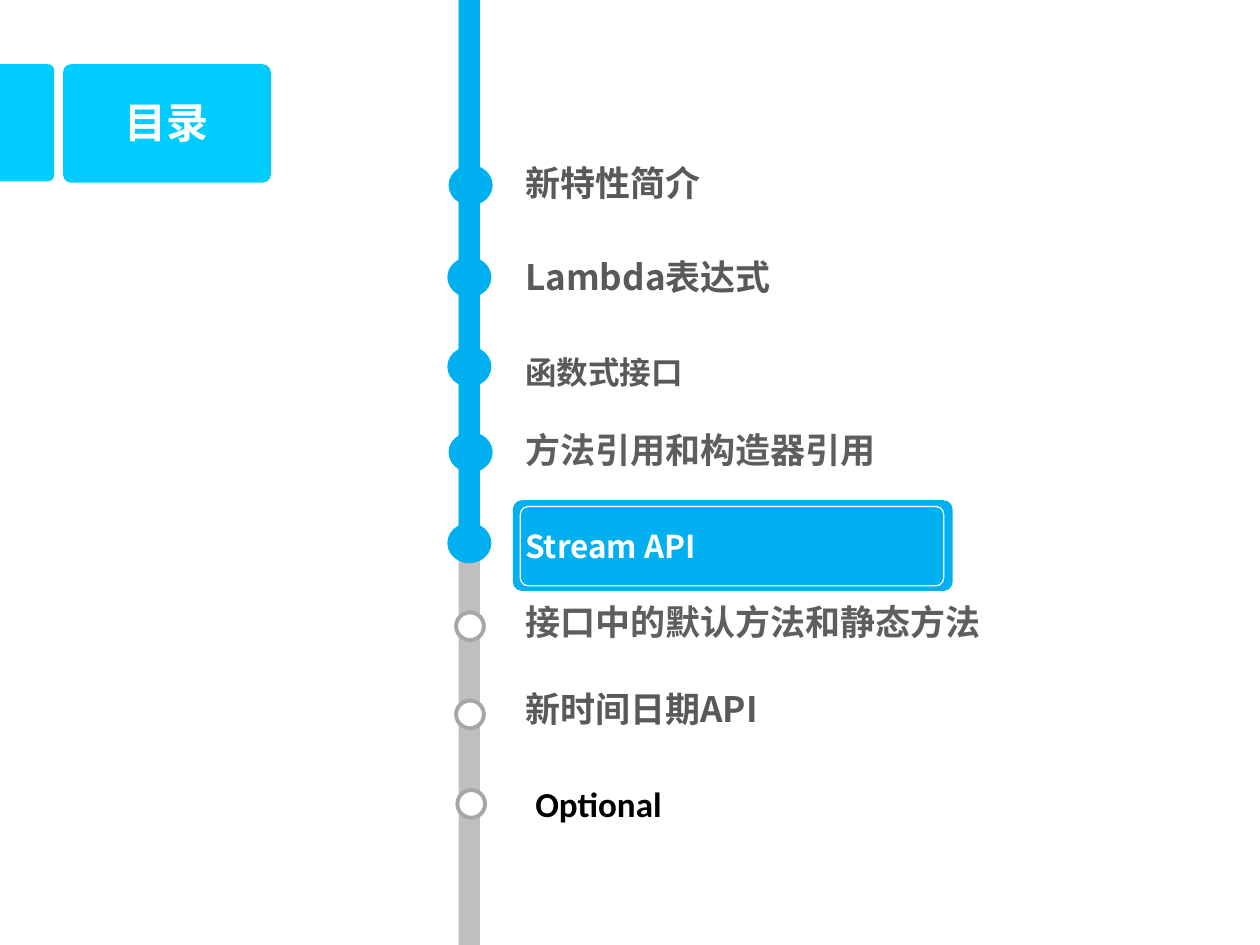
import math
from pptx import Presentation
from pptx import util as u
from pptx.dml.color import RGBColor
from pptx.enum import shapes, text
from pptx.oxml.ns import qn
from lxml import etree

CYAN = RGBColor(0x00, 0xCC, 0xFF)
BLUE = RGBColor(0x00, 0xB0, 0xF0)
WHITE = RGBColor(0xFF, 0xFF, 0xFF)
BLACK = RGBColor(0x00, 0x00, 0x00)
SILVER = RGBColor(0xBF, 0xBF, 0xBF)
RING = RGBColor(0xA6, 0xA6, 0xA6)
GRAY = RGBColor(0x59, 0x59, 0x59)
WARM_GRAY = RGBColor(0x5F, 0x5E, 0x5C)
JP = "Noto Sans CJK JP"
SC = "Noto Sans CJK SC"
KIND = shapes.MSO_SHAPE

deck = Presentation()
deck.slide_width = u.Inches(10)
deck.slide_height = u.Inches(7.5)
page = deck.slides.add_slide(deck.slide_layouts[6])


def add_shape(kind, place, fill=None, line=None, weight=0, corner=None):
    shape = page.shapes.add_shape(kind, *[u.Inches(value) for value in place])
    shape.shadow.inherit = False
    if corner is not None:
        shape.adjustments[0] = corner
    if fill is None:
        shape.fill.background()
    else:
        shape.fill.solid()
        shape.fill.fore_color.rgb = fill
    if line is None:
        shape.line.fill.background()
    else:
        shape.line.color.rgb = line
        shape.line.width = u.Pt(weight)


def add_label(words, place, size, font, color, wrap=True, align=text.PP_ALIGN.LEFT):
    box = page.shapes.add_textbox(*[u.Inches(value) for value in place])
    box.text_frame.word_wrap = wrap
    box.text_frame.auto_size = text.MSO_AUTO_SIZE.SHAPE_TO_FIT_TEXT
    para = box.text_frame.paragraphs[0]
    para.alignment = align
    span = para.add_run()
    span.text = words
    span.font.size = u.Pt(size)
    span.font.bold = True
    span.font.name = font
    span.font.color.rgb = color
    east_asian = SC if font == "Calibri" else font
    etree.SubElement(span.font._element, qn("a:ea"), typeface=east_asian)


tab_right, tab_top, tab_bottom, radius = 0.43, 0.51, 1.44, 0.05
outline = [(0, tab_top)]
for center_y, start in ((tab_top + radius, -90), (tab_bottom - radius, 0)):
    for step in range(7):
        angle = math.radians(start + step * 15)
        outline.append((tab_right - radius + radius * math.cos(angle),
                        center_y + radius * math.sin(angle)))
outline.append((0, tab_bottom))
points = [(u.Inches(x), u.Inches(y)) for x, y in outline]
builder = page.shapes.build_freeform(*points[0])
builder.add_line_segments(points[1:], close=True)
tab = builder.convert_to_shape()
tab.shadow.inherit = False
tab.fill.solid()
tab.fill.fore_color.rgb = CYAN
tab.line.fill.background()

add_shape(KIND.ROUNDED_RECTANGLE, (0.5, 0.51, 1.65, 0.94), CYAN, corner=0.07)
add_label("目录", (0.5, 0.72, 1.65, 0.5), 24, "Calibri", WHITE, align=text.PP_ALIGN.CENTER)

add_shape(KIND.RECTANGLE, (3.64, 0, 0.17, 7.5), SILVER)
add_shape(KIND.RECTANGLE, (3.64, 0, 0.17, 4.26), BLUE)

for left, top in ((3.56, 1.31), (3.55, 2.04), (3.55, 2.75), (3.56, 3.43), (3.55, 4.15)):
    add_shape(KIND.OVAL, (left, top, 0.35, 0.32), BLUE)
for left, top in ((3.62, 4.86), (3.62, 5.56), (3.63, 6.27)):
    add_shape(KIND.OVAL, (left, top, 0.22, 0.22), WHITE, RING, 2.25)

add_shape(KIND.ROUNDED_RECTANGLE, (4.07, 3.97, 3.49, 0.72), BLUE, corner=0.1)
add_shape(KIND.ROUNDED_RECTANGLE, (4.13, 4.02, 3.36, 0.63), None, WHITE, 0.75, 0.1)

topics = [
    ("新特性简介", (4.07, 1.23, 3.1, 0.44), 20, JP, GRAY, True),
    ("Lambda表达式", (4.07, 1.98, 3.1, 0.44), 20, JP, GRAY, True),
    ("函数式接口", (4.07, 2.75, 1.46, 0.4), 18, JP, GRAY, False),
    ("方法引用和构造器引用", (4.07, 3.35, 3.21, 0.44), 20, SC, WARM_GRAY, True),
    ("Stream API", (4.07, 4.13, 1.61, 0.4), 18, SC, WHITE, False),
    ("接口中的默认方法和静态方法", (4.07, 4.72, 3.96, 0.44), 20, SC, WARM_GRAY, True),
    ("新时间日期API", (4.07, 5.41, 3.1, 0.44), 20, JP, GRAY, True),
    ("Optional", (4.15, 6.16, 2.6, 0.44), 20, "Calibri", BLACK, True),
]
for topic in topics:
    add_label(*topic)

deck.save("out.pptx")
